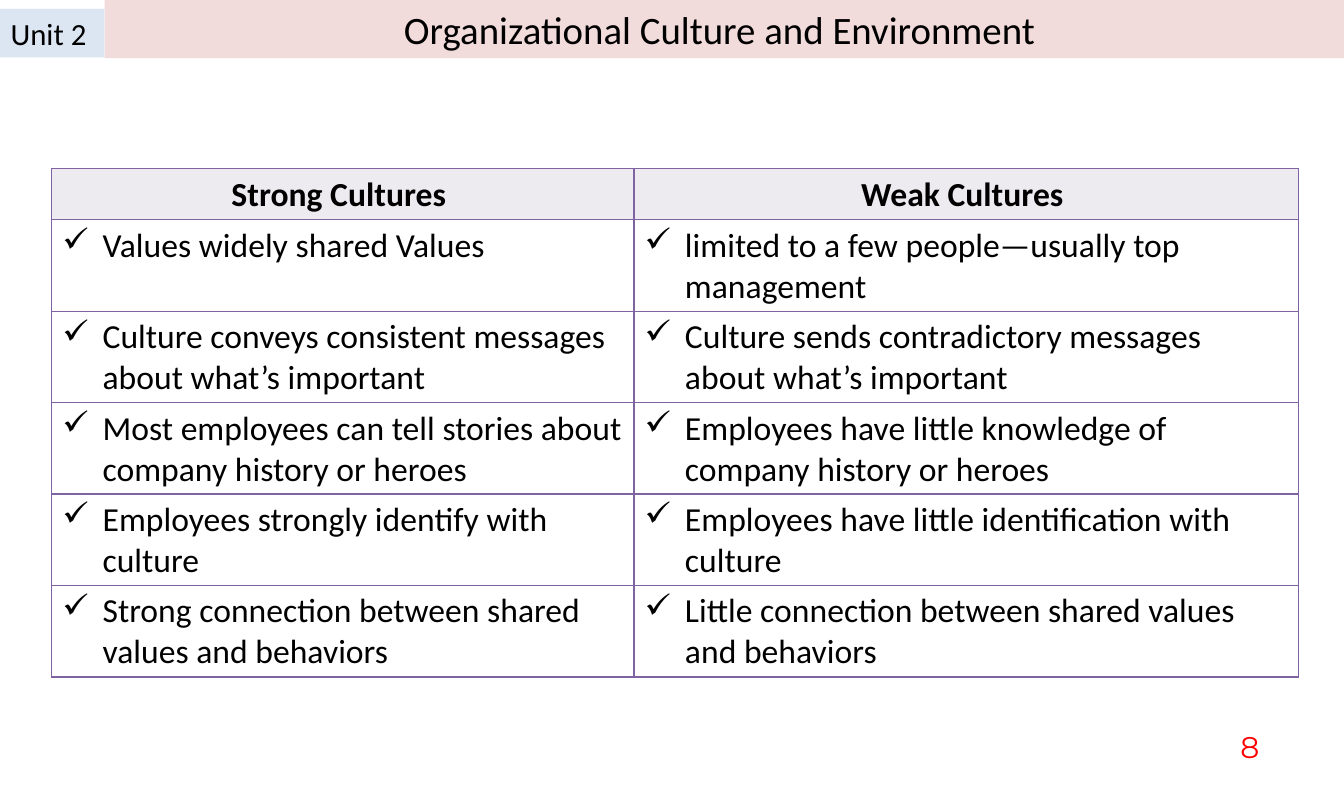
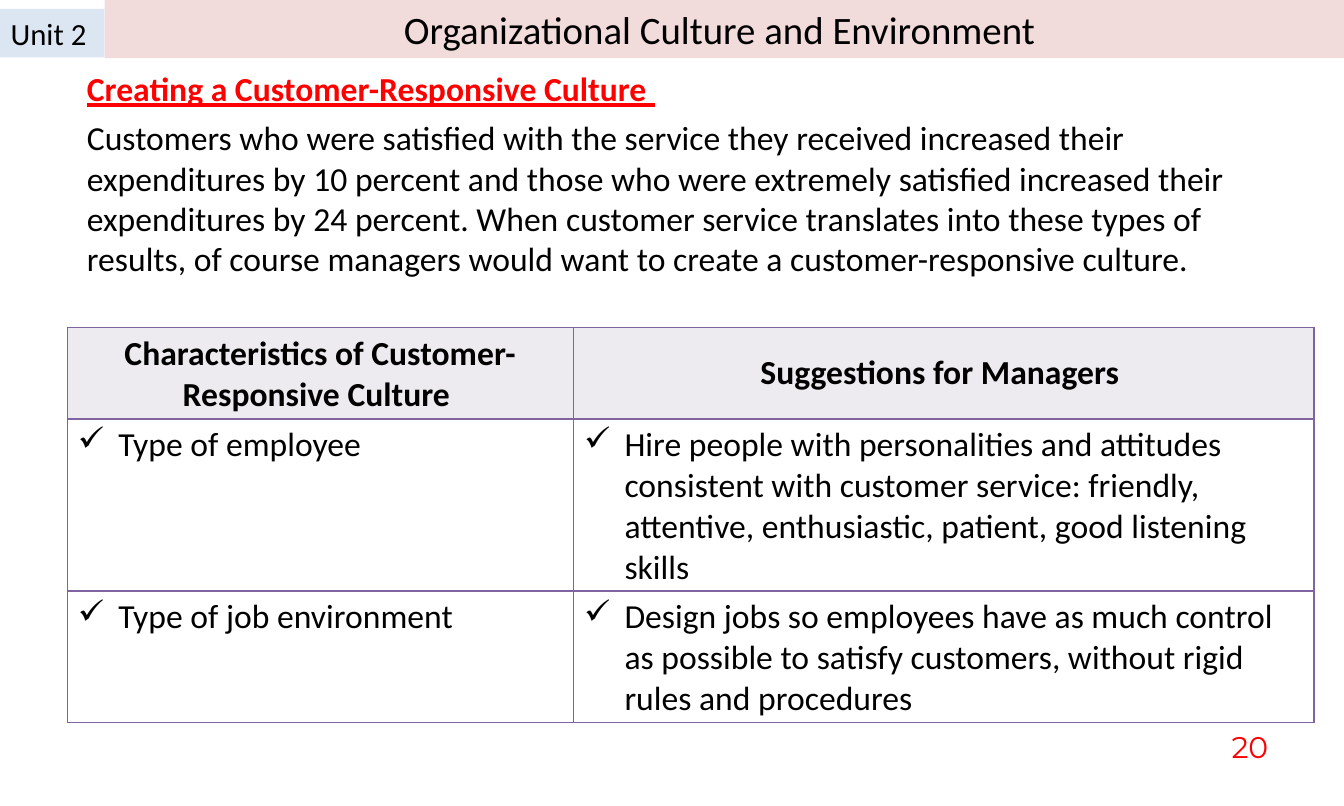
from dataclasses import dataclass
from lxml import etree
from pptx import Presentation
from pptx.dml.color import RGBColor
from pptx.enum.shapes import MSO_SHAPE
from pptx.enum.text import MSO_ANCHOR, MSO_AUTO_SIZE, PP_ALIGN
from pptx.oxml.ns import qn
from pptx.util import Pt

RECT = MSO_SHAPE.RECTANGLE
LEFT, CENTER = PP_ALIGN.LEFT, PP_ALIGN.CENTER
TOP, MIDDLE = MSO_ANCHOR.TOP, MSO_ANCHOR.MIDDLE
FIXED = MSO_AUTO_SIZE.NONE

BLACK = RGBColor(0x00, 0x00, 0x00)
RED = RGBColor(0xFF, 0x00, 0x00)
BLUE = RGBColor(0xDC, 0xE6, 0xF2)
PINK = RGBColor(0xF2, 0xDC, 0xDB)
LILAC = RGBColor(0xED, 0xEA, 0xF0)
PURPLE = RGBColor(0x80, 0x64, 0xA2)

FONT = "Calibri"
SIZE = 22.5
HANG = 27
UNIT = "Unit 2"
TITLE = "Organizational Culture and Environment "


@dataclass(frozen=True)
class Grid:
    left: float
    top: float
    cols: tuple[float, ...]
    rows: tuple[tuple[str, ...], ...]


@dataclass(frozen=True)
class Page:
    number: str
    grid: Grid
    lead: tuple[str, ...] = ()


PAGES = (
    Page("8", Grid(34.5, 113, (390, 445), (
        ("Strong Cultures ", "Weak Cultures "),
        ("Values widely shared Values",
         "limited to a few people—usually top management"),
        ("Culture conveys consistent messages about what’s important",
         "Culture sends contradictory messages about what’s important"),
        ("Most employees can tell stories about company history or heroes",
         "Employees have little knowledge of company history or heroes"),
        ("Employees strongly identify with culture",
         "Employees have little identification with culture"),
        ("Strong connection between shared values and behaviors",
         "Little connection between shared values and behaviors"),
    ))),
    Page("20", Grid(45, 219.5, (339, 496), (
        ("Characteristics of Customer-Responsive Culture ",
         "Suggestions for Managers "),
        ("Type of employee",
         "Hire people with personalities and attitudes consistent with customer "
         "service: friendly, attentive, enthusiastic, patient, good listening skills"),
        ("Type of job environment",
         "Design jobs so employees have as much control as possible to satisfy "
         "customers, without rigid rules and procedures"),
    )), (
        "Creating a Customer-Responsive Culture ",
        "Customers who were satisfied with the service they received increased "
        "their expenditures by 10 percent and those who were extremely satisfied "
        "increased their expenditures by 24 percent. When customer service "
        "translates into these types of results, of course managers would want to "
        "create a customer-responsive culture.",
    )),
)


def put(frame, text: str, *, size: float = SIZE, font: str = FONT,
        color: RGBColor = BLACK, bold: bool = False, under: bool = False,
        align=LEFT, mark: str = "", after: float = 0) -> None:
    para = frame.paragraphs[0]
    if para.runs:
        para = frame.add_paragraph()
    props = para._p.get_or_add_pPr()
    hang = Pt(HANG) if mark else 0
    props.set("marL", str(hang))
    props.set("indent", str(-hang))
    if mark:
        etree.SubElement(props, qn("a:buChar")).set("char", mark)
    else:
        etree.SubElement(props, qn("a:buNone"))
    para.alignment = align
    para.space_before = Pt(0)
    para.space_after = Pt(after)
    run = para.add_run()
    run.text = text
    run.font.size = Pt(size)
    run.font.name = font
    run.font.color.rgb = color
    run.font.bold = bold
    run.font.underline = under


def place(shape, left: float, top: float, width: float, height: float) -> None:
    shape.left, shape.top = Pt(left), Pt(top)
    shape.width, shape.height = Pt(width), Pt(height)


def paint(shape, color: RGBColor) -> None:
    shape.fill.solid()
    shape.fill.fore_color.rgb = color


def edge(cell) -> None:
    props = cell._tc.get_or_add_tcPr()
    for side in ("lnL", "lnR", "lnT", "lnB"):
        line = etree.SubElement(props, qn(f"a:{side}"), w=str(Pt(1)))
        fill = etree.SubElement(line, qn("a:solidFill"))
        etree.SubElement(fill, qn("a:srgbClr"), val=str(PURPLE))


def draw_grid(slide, grid: Grid) -> None:
    count = len(grid.rows)
    frame = slide.shapes.add_table(
        count, len(grid.cols), Pt(grid.left), Pt(grid.top),
        Pt(sum(grid.cols)), Pt(29.5 * count))
    table = frame.table
    table.first_row = table.horz_banding = False
    for col, width in zip(table.columns, grid.cols):
        col.width = Pt(width)
    for i, row in enumerate(grid.rows):
        head = i == 0
        for j, text in enumerate(row):
            cell = table.cell(i, j)
            edge(cell)
            if head:
                paint(cell, LILAC)
            else:
                cell.fill.background()
            cell.vertical_anchor = MIDDLE if head else TOP
            put(cell.text_frame, text, bold=head,
                align=CENTER if head else LEFT, mark="" if head else "✓")


def draw_bands(slide, number: str) -> None:
    title = slide.shapes.title
    place(title, 70, 0, 830, 39)
    paint(title, PINK)
    title.text_frame.auto_size = FIXED
    put(title.text_frame, TITLE, size=26, align=CENTER)

    unit = slide.shapes.add_shape(RECT, 0, Pt(6), Pt(70), Pt(32.5))
    unit.shadow.inherit = False
    paint(unit, BLUE)
    unit.line.fill.background()
    put(unit.text_frame, UNIT, size=20.6)

    foot = slide.shapes.add_textbox(Pt(812), Pt(486), Pt(50), Pt(29)).text_frame
    foot.word_wrap = True
    foot.vertical_anchor = MIDDLE
    put(foot, number, size=20, font="Montserrat", color=RED, align=CENTER)


def draw_lead(slide, lead: tuple[str, ...]) -> None:
    body = slide.placeholders[1]
    place(body, 51, 42, 797, 153)
    frame = body.text_frame
    frame.auto_size = FIXED
    head, text = lead
    put(frame, head, color=RED, bold=True, under=True, after=6)
    put(frame, text)


def main() -> None:
    deck = Presentation()
    deck.slide_width, deck.slide_height = Pt(900), Pt(540)
    for page in PAGES:
        slide = deck.slides.add_slide(deck.slide_layouts[1 if page.lead else 5])
        draw_bands(slide, page.number)
        if page.lead:
            draw_lead(slide, page.lead)
        draw_grid(slide, page.grid)
    deck.save("out.pptx")


if __name__ == "__main__":
    main()
